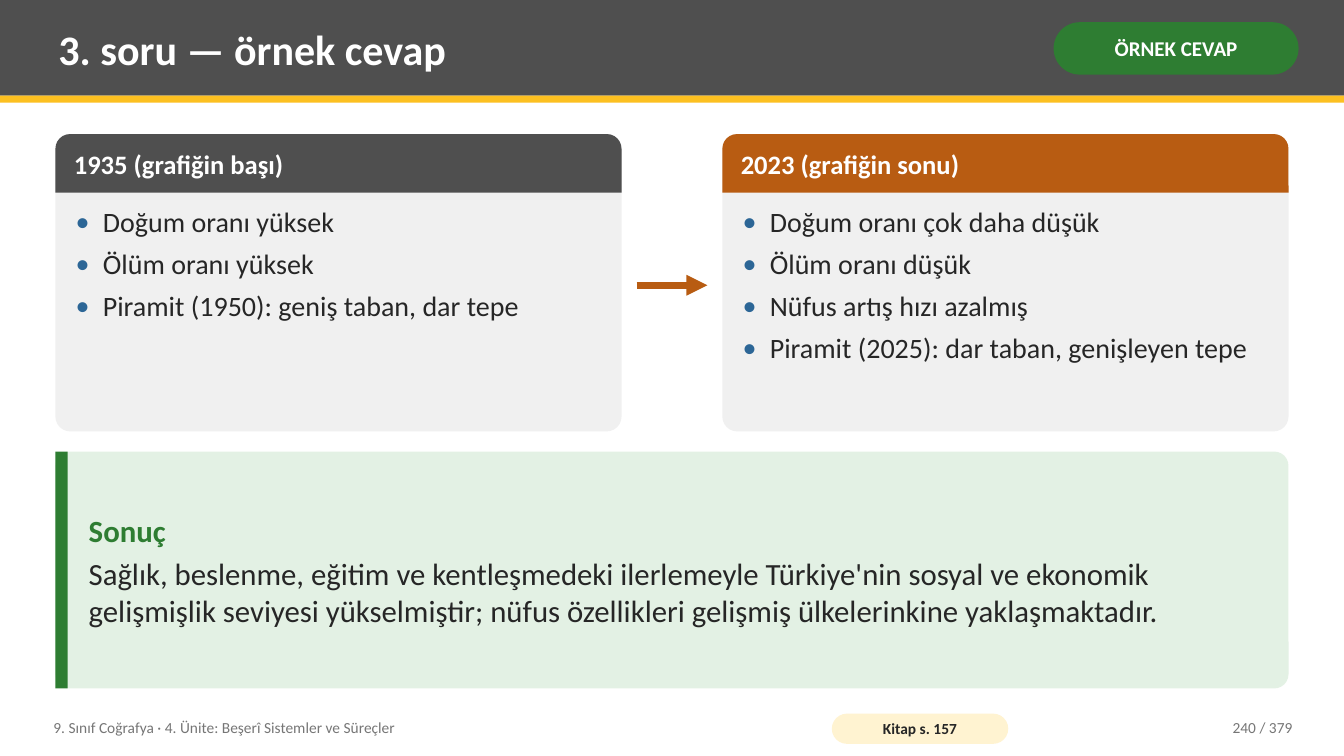
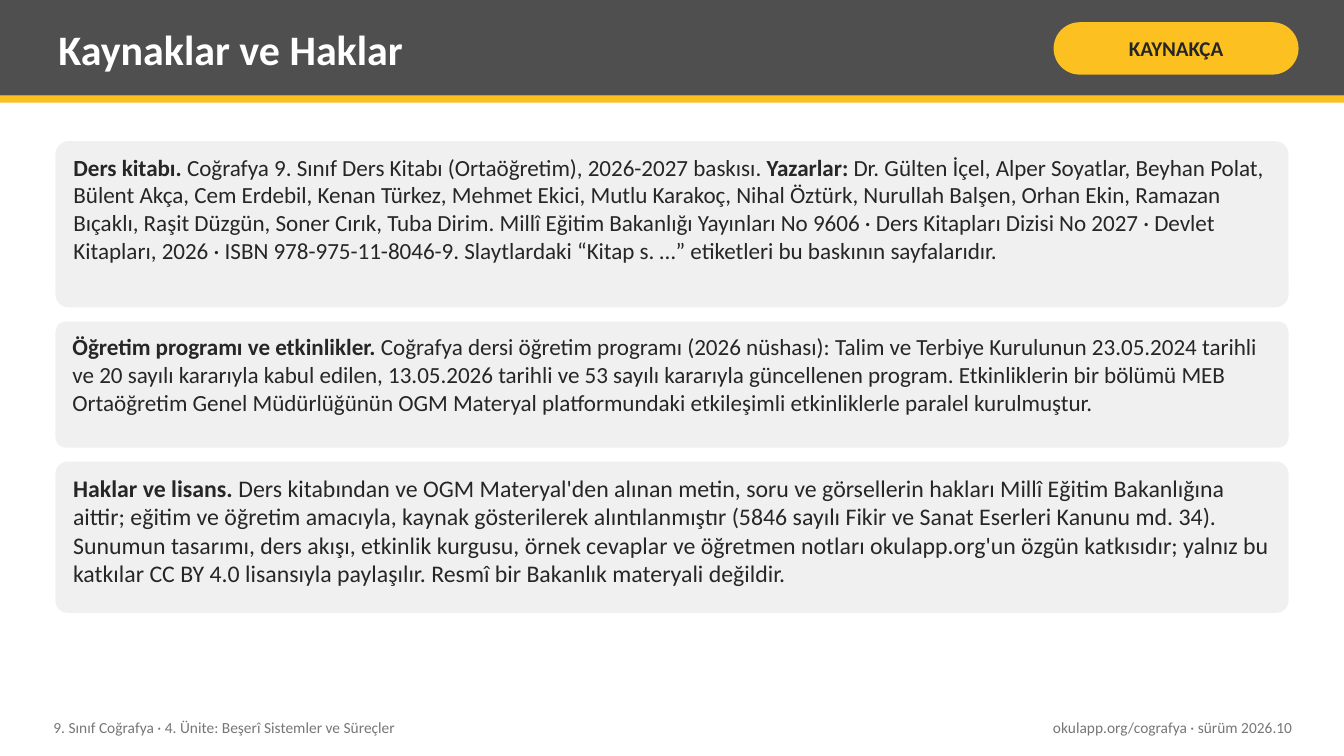
from dataclasses import dataclass
from itertools import cycle

from lxml import etree
from pptx import Presentation
from pptx import util as u
from pptx.dml.color import RGBColor
from pptx.enum import shapes, text
from pptx.oxml import ns

TITLE_ONLY = 5
Preset = shapes.MSO_SHAPE
Align = text.PP_ALIGN
Anchor = text.MSO_ANCHOR


@dataclass(frozen=True)
class Theme:
    font: str = "Calibri"
    gray: str = "4F4F4F"
    yellow: str = "FCC021"
    green: str = "2E7D32"
    orange: str = "B85C12"
    blue: str = "2C6696"
    ink: str = "262626"
    muted: str = "767676"
    white: str = "FFFFFF"
    panel: str = "F0F0F0"
    pale_green: str = "E3F1E4"
    pale_yellow: str = "FFF3D1"
    title: float = 30
    conclusion: float = 22
    bullet: float = 20
    heading: float = 19
    badge: float = 15
    footer: float = 11


@dataclass(frozen=True)
class Box:
    left: float
    top: float
    width: float
    height: float

    def lengths(self) -> tuple:
        return tuple(u.Inches(v) for v in (self.left, self.top, self.width, self.height))


@dataclass(frozen=True)
class Style:
    size: float
    color: str
    bold: bool = False
    align: Align = Align.LEFT
    after: float = 0


@dataclass(frozen=True)
class Card:
    heading: str
    color: str
    points: tuple[str, ...]


@dataclass(frozen=True)
class Source:
    """A reference block whose spans are bold and regular in turn."""
    height: float
    size: float
    spans: tuple[str, ...]


THEME = Theme()
WIDTH, HEIGHT = 13.33, 7.5
MARGIN = 0.55
CONTENT = WIDTH - 2 * MARGIN
COLUMN_GAP = 1.0
COLUMN = (CONTENT - COLUMN_GAP) / 2
INSETS = (0.08, 0.04, 0.08, 0.04)
FOOTER_TOP, FOOTER_HEIGHT = 7.04, 0.36
UNIT = "9. Sınıf Coğrafya · 4. Ünite: Beşerî Sistemler ve Süreçler"

CARDS = (
    Card("1935 (grafiğin başı)", THEME.gray, (
        "Doğum oranı yüksek",
        "Ölüm oranı yüksek",
        "Piramit (1950): geniş taban, dar tepe")),
    Card("2023 (grafiğin sonu)", THEME.orange, (
        "Doğum oranı çok daha düşük",
        "Ölüm oranı düşük",
        "Nüfus artış hızı azalmış",
        "Piramit (2025): dar taban, genişleyen tepe")),
)
CONCLUSION = (
    "Sağlık, beslenme, eğitim ve kentleşmedeki ilerlemeyle Türkiye'nin sosyal ve ekonomik "
    "gelişmişlik seviyesi yükselmiştir; nüfus özellikleri gelişmiş ülkelerinkine "
    "yaklaşmaktadır.")
SOURCES = (
    Source(1.65, 16.5, (
        "Ders kitabı.",
        " Coğrafya 9. Sınıf Ders Kitabı (Ortaöğretim), 2026-2027 baskısı. ",
        "Yazarlar:",
        " Dr. Gülten İçel, Alper Soyatlar, Beyhan Polat, Bülent Akça, Cem Erdebil, "
        "Kenan Türkez, Mehmet Ekici, Mutlu Karakoç, Nihal Öztürk, Nurullah Balşen, "
        "Orhan Ekin, Ramazan Bıçaklı, Raşit Düzgün, Soner Cırık, Tuba Dirim. "
        "Millî Eğitim Bakanlığı Yayınları No 9606 · Ders Kitapları Dizisi No 2027 · "
        "Devlet Kitapları, 2026 · ISBN 978-975-11-8046-9. "
        "Slaytlardaki “Kitap s. …” etiketleri bu baskının sayfalarıdır.")),
    Source(1.25, 16.5, (
        "Öğretim programı ve etkinlikler.",
        " Coğrafya dersi öğretim programı (2026 nüshası): Talim ve Terbiye Kurulunun "
        "23.05.2024 tarihli ve 20 sayılı kararıyla kabul edilen, 13.05.2026 tarihli ve "
        "53 sayılı kararıyla güncellenen program. Etkinliklerin bir bölümü MEB Ortaöğretim "
        "Genel Müdürlüğünün OGM Materyal platformundaki etkileşimli etkinliklerle paralel "
        "kurulmuştur.")),
    Source(1.5, 17, (
        "Haklar ve lisans.",
        " Ders kitabından ve OGM Materyal'den alınan metin, soru ve görsellerin hakları "
        "Millî Eğitim Bakanlığına aittir; eğitim ve öğretim amacıyla, kaynak gösterilerek "
        "alıntılanmıştır (5846 sayılı Fikir ve Sanat Eserleri Kanunu md. 34). Sunumun "
        "tasarımı, ders akışı, etkinlik kurgusu, örnek cevaplar ve öğretmen notları "
        "okulapp.org'un özgün katkısıdır; yalnız bu katkılar CC BY 4.0 lisansıyla "
        "paylaşılır. Resmî bir Bakanlık materyali değildir.")),
)


def add_panel(page, box: Box, color: str, preset=Preset.RECTANGLE, *corners: float):
    shape = page.shapes.add_shape(preset, *box.lengths())
    shape.shadow.inherit = False
    shape.fill.solid()
    shape.fill.fore_color.rgb = RGBColor.from_string(color)
    shape.line.fill.background()
    for index, corner in enumerate(corners):
        shape.adjustments[index] = corner
    return shape


def prepare_frame(shape, anchor=Anchor.MIDDLE, insets=INSETS):
    frame = shape.text_frame
    frame.word_wrap = True
    frame.auto_size = text.MSO_AUTO_SIZE.NONE
    frame.vertical_anchor = anchor
    (frame.margin_left, frame.margin_top,
     frame.margin_right, frame.margin_bottom) = map(u.Inches, insets)
    return frame


def style_para(para, style: Style) -> None:
    para.alignment = style.align
    para.space_after = u.Pt(style.after)
    para.font.name = THEME.font
    para.font.size = u.Pt(style.size)
    para.font.bold = style.bold
    para.font.color.rgb = RGBColor.from_string(style.color)


def write(shape, words: str, style: Style, insets=INSETS) -> None:
    para = prepare_frame(shape, insets=insets).paragraphs[0]
    para.text = words
    style_para(para, style)


def add_label(page, box: Box, words: str, style: Style) -> None:
    write(page.shapes.add_textbox(*box.lengths()), words, style)


def add_pill(page, box: Box, color: str, words: str, style: Style, insets) -> None:
    write(add_panel(page, box, color, Preset.ROUNDED_RECTANGLE, 0.5), words, style, insets)


def add_bullet(para) -> None:
    props = para._p.get_or_add_pPr()
    indent = u.Inches(0.27)
    props.set("marL", str(indent))
    props.set("indent", str(-indent))
    color = etree.SubElement(props, ns.qn("a:buClr"))
    etree.SubElement(color, ns.qn("a:srgbClr")).set("val", THEME.blue)
    etree.SubElement(props, ns.qn("a:buFont")).set("typeface", THEME.font)
    etree.SubElement(props, ns.qn("a:buChar")).set("char", "•")


def add_page(deck, title: str, badge: str, badge_color: str, badge_ink: str,
             note: str, note_width: float):
    """Start a slide with its title band, badge and footer."""
    page = deck.slides.add_slide(deck.slide_layouts[TITLE_ONLY])
    heading = page.shapes.title
    band = add_panel(page, Box(0, 0, WIDTH, 0.95), THEME.gray)
    rule = add_panel(page, Box(0, 0.95, WIDTH, 0.07), THEME.yellow)
    for strip in (band, rule):
        heading.element.addprevious(strip.element)
    (heading.left, heading.top,
     heading.width, heading.height) = Box(0.5, 0.07, 9.75, 0.82).lengths()
    write(heading, title, Style(THEME.title, THEME.white, True))
    add_pill(page, Box(10.45, 0.22, 2.43, 0.52), badge_color, badge,
             Style(THEME.badge, badge_ink, True, Align.CENTER), (0.05, 0.02, 0.05, 0.02))
    add_label(page, Box(0.45, FOOTER_TOP, 7.6, FOOTER_HEIGHT), UNIT,
              Style(THEME.footer, THEME.muted))
    add_label(page, Box(12.9 - note_width, FOOTER_TOP, note_width, FOOTER_HEIGHT), note,
              Style(THEME.footer, THEME.muted, align=Align.RIGHT))
    return page


def add_card(page, card: Card, left: float, top: float, height: float) -> None:
    header = 0.58
    add_panel(page, Box(left, top, COLUMN, height), THEME.panel,
              Preset.ROUNDED_RECTANGLE, 0.05)
    cap = add_panel(page, Box(left, top, COLUMN, header), card.color,
                    Preset.ROUND_2_SAME_RECTANGLE, 0.25, 0)
    write(cap, card.heading, Style(THEME.heading, THEME.white, True), (0.14, 0, 0.14, 0.04))
    body = Box(left + 0.12, top + header + 0.08, COLUMN - 0.24, height - header - 0.16)
    frame = prepare_frame(page.shapes.add_textbox(*body.lengths()), Anchor.TOP)
    for index, point in enumerate(card.points):
        para = frame.add_paragraph() if index else frame.paragraphs[0]
        para.text = point
        add_bullet(para)
        style_para(para, Style(THEME.bullet, THEME.ink, after=6))


def add_arrow(page, start: float, end: float, level: float) -> None:
    arrow = page.shapes.add_connector(
        shapes.MSO_CONNECTOR.STRAIGHT, *map(u.Inches, (start, level, end, level)))
    arrow.line.width = u.Pt(5)
    arrow.line.color.rgb = RGBColor.from_string(THEME.orange)
    etree.SubElement(arrow.line._get_or_add_ln(), ns.qn("a:tailEnd")).set("type", "triangle")
    etree.SubElement(arrow.element.spPr, ns.qn("a:effectLst"))


def add_conclusion(page, box: Box) -> None:
    add_panel(page, box, THEME.pale_green, Preset.ROUNDED_RECTANGLE, 0.06)
    add_panel(page, Box(box.left, box.top, 0.12, box.height), THEME.green)
    inner = Box(box.left + 0.25, box.top + 0.06, box.width - 0.35, box.height - 0.12)
    frame = prepare_frame(page.shapes.add_textbox(*inner.lengths()))
    heading, body = frame.paragraphs[0], frame.add_paragraph()
    heading.text, body.text = "Sonuç", CONCLUSION
    style_para(heading, Style(THEME.conclusion, THEME.green, True, after=4))
    style_para(body, Style(THEME.conclusion, THEME.ink))


def add_source(page, source: Source, top: float) -> None:
    panel = add_panel(page, Box(MARGIN, top, CONTENT, source.height), THEME.panel,
                      Preset.ROUNDED_RECTANGLE, 0.08)
    para = prepare_frame(panel, Anchor.TOP, (0.14, 0.08, 0.14, 0.08)).paragraphs[0]
    style_para(para, Style(source.size, THEME.ink))
    for words, bold in zip(source.spans, cycle((True, False))):
        span = para.add_run()
        span.text = words
        span.font.bold = bold


def build_answer(deck) -> None:
    page = add_page(deck, "3. soru — örnek cevap", "ÖRNEK CEVAP", THEME.green, THEME.white,
                    "240 / 379", 1.6)
    for index, card in enumerate(CARDS):
        add_card(page, card, MARGIN + index * (COLUMN + COLUMN_GAP), 1.33, 2.95)
    gap_left = MARGIN + COLUMN
    add_arrow(page, gap_left + 0.15, gap_left + COLUMN_GAP - 0.15, 2.83)
    add_conclusion(page, Box(MARGIN, 4.48, CONTENT, 2.35))
    add_pill(page, Box(8.25, 7.08, 1.75, 0.3), THEME.pale_yellow, "Kitap s. 157",
             Style(THEME.footer, THEME.ink, True, Align.CENTER), (0.04, 0, 0.04, 0))


def build_sources(deck) -> None:
    page = add_page(deck, "Kaynaklar ve Haklar", "KAYNAKÇA", THEME.yellow, THEME.ink,
                    "okulapp.org/cografya · sürüm 2026.10", 3.6)
    top = 1.4
    for source in SOURCES:
        add_source(page, source, top)
        top += source.height + 0.14


def main() -> None:
    deck = Presentation()
    deck.slide_width, deck.slide_height = u.Inches(WIDTH), u.Inches(HEIGHT)
    build_answer(deck)
    build_sources(deck)
    deck.save("out.pptx")


if __name__ == "__main__":
    main()
